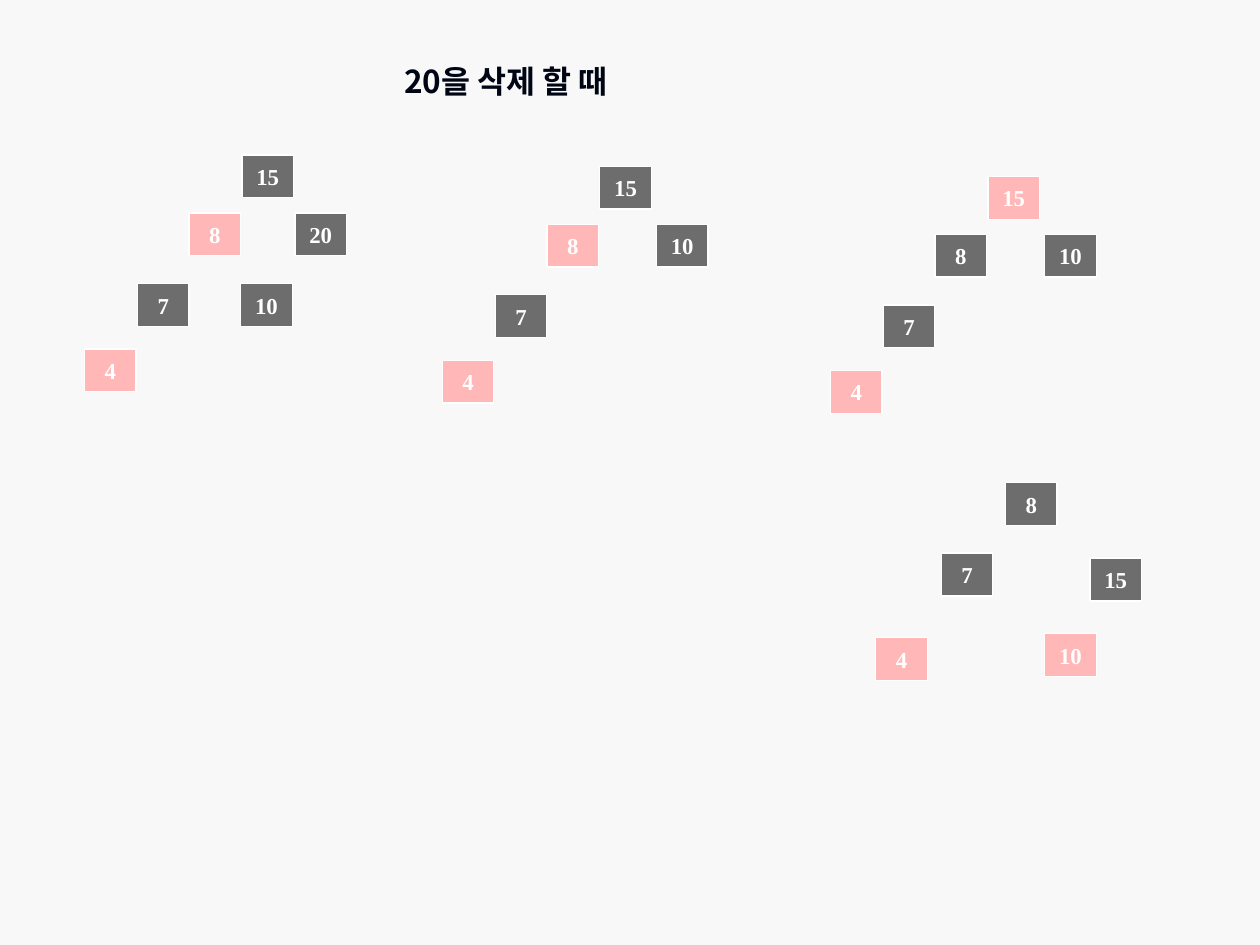
from lxml.etree import SubElement
from pptx import Presentation
from pptx.dml.color import RGBColor
from pptx.enum.shapes import MSO_SHAPE
from pptx.enum.text import MSO_ANCHOR, MSO_AUTO_SIZE, PP_ALIGN
from pptx.oxml.ns import qn
from pptx.util import Inches, Pt

COLORS = {"paper": "F8F8F8", "ink": "000514", "black": "6D6D6D",
          "red": "FFB7B7", "white": "FFFFFF"}
COLUMNS, ROWS = 100, 75
NODE_SIZE = (4.1, 3.4)
SPINE = {"root": (0, 0), "left": (-4.2, 4.6), "right": (4.2, 4.6),
         "far right": (4.5, 4.6), "left left": (-8.3, 10.2),
         "left right": (-0.1, 10.2), "leaf": (-12.5, 15.4)}
BALANCED = {"root": (0, 0), "left": (-5.1, 5.6), "right": (6.7, 6),
            "right left": (3.1, 12), "leaf": (-10.3, 12.3)}
TREES = [
    (19.2, 12.3, SPINE, {
        "left left": ("7", "black"), "left": ("8", "red"), "right": ("20", "black"),
        "root": ("15", "black"), "left right": ("10", "black"), "leaf": ("4", "red")}),
    (47.6, 13.2, SPINE, {
        "left left": ("7", "black"), "left": ("8", "red"), "root": ("15", "black"),
        "far right": ("10", "black"), "leaf": ("4", "red")}),
    (78.4, 14, SPINE, {
        "left left": ("7", "black"), "left": ("8", "black"), "root": ("15", "red"),
        "far right": ("10", "black"), "leaf": ("4", "red")}),
    (79.8, 38.3, BALANCED, {
        "left": ("7", "black"), "root": ("8", "black"), "right": ("15", "black"),
        "right left": ("10", "red"), "leaf": ("4", "red")}),
]


class TreeSlide:
    """Draws red-black trees on a slide grid of 100 columns by 75 rows."""

    def __init__(self, deck):
        self.column = deck.slide_width / COLUMNS
        self.row = deck.slide_height / ROWS
        self.slide = deck.slides.add_slide(deck.slide_layouts[6])
        self.paint(self.slide.background.fill, "paper")

    def paint(self, fill, color):
        fill.solid()
        fill.fore_color.rgb = RGBColor.from_string(COLORS[color])

    def place(self, left, top, width, height):
        return [round(length) for length in (left * self.column, top * self.row,
                                             width * self.column, height * self.row)]

    def label(self, frame, words, size, font, color, align):
        frame.word_wrap = False
        paragraph = frame.paragraphs[0]
        paragraph.alignment = align
        run = paragraph.add_run()
        run.text = words
        run.font.size = Pt(size)
        run.font.bold = True
        run.font.name = font
        run.font.color.rgb = RGBColor.from_string(COLORS[color])
        SubElement(run.font._element, qn("a:ea"), typeface=font)

    def title(self, words, left, top, width, height):
        heading = self.slide.shapes.add_textbox(*self.place(left, top, width, height))
        heading.text_frame.auto_size = MSO_AUTO_SIZE.SHAPE_TO_FIT_TEXT
        self.label(heading.text_frame, words, 18, "Noto Sans CJK KR", "ink", PP_ALIGN.LEFT)

    def node(self, key, color, left, top):
        node = self.slide.shapes.add_shape(
            MSO_SHAPE.RECTANGLE, *self.place(left, top, *NODE_SIZE))
        node.shadow.inherit = False
        self.paint(node.fill, color)
        self.paint(node.line.fill, "white")
        node.line.width = Pt(0.75)
        node.text_frame.vertical_anchor = MSO_ANCHOR.MIDDLE
        self.label(node.text_frame, key, 13, "Times New Roman", "white", PP_ALIGN.CENTER)

    def tree(self, left, top, layout, nodes):
        for position, (key, color) in nodes.items():
            across, down = layout[position]
            self.node(key, color, left + across, top + down)


def main():
    deck = Presentation()
    deck.slide_width, deck.slide_height = Inches(10), Inches(7.5)
    deletion = TreeSlide(deck)
    for tree in TREES:
        deletion.tree(*tree)
    deletion.title("20을 삭제 할 때", 31.1, 4.4, 19.7, 4)
    deck.save("out.pptx")


if __name__ == "__main__":
    main()
